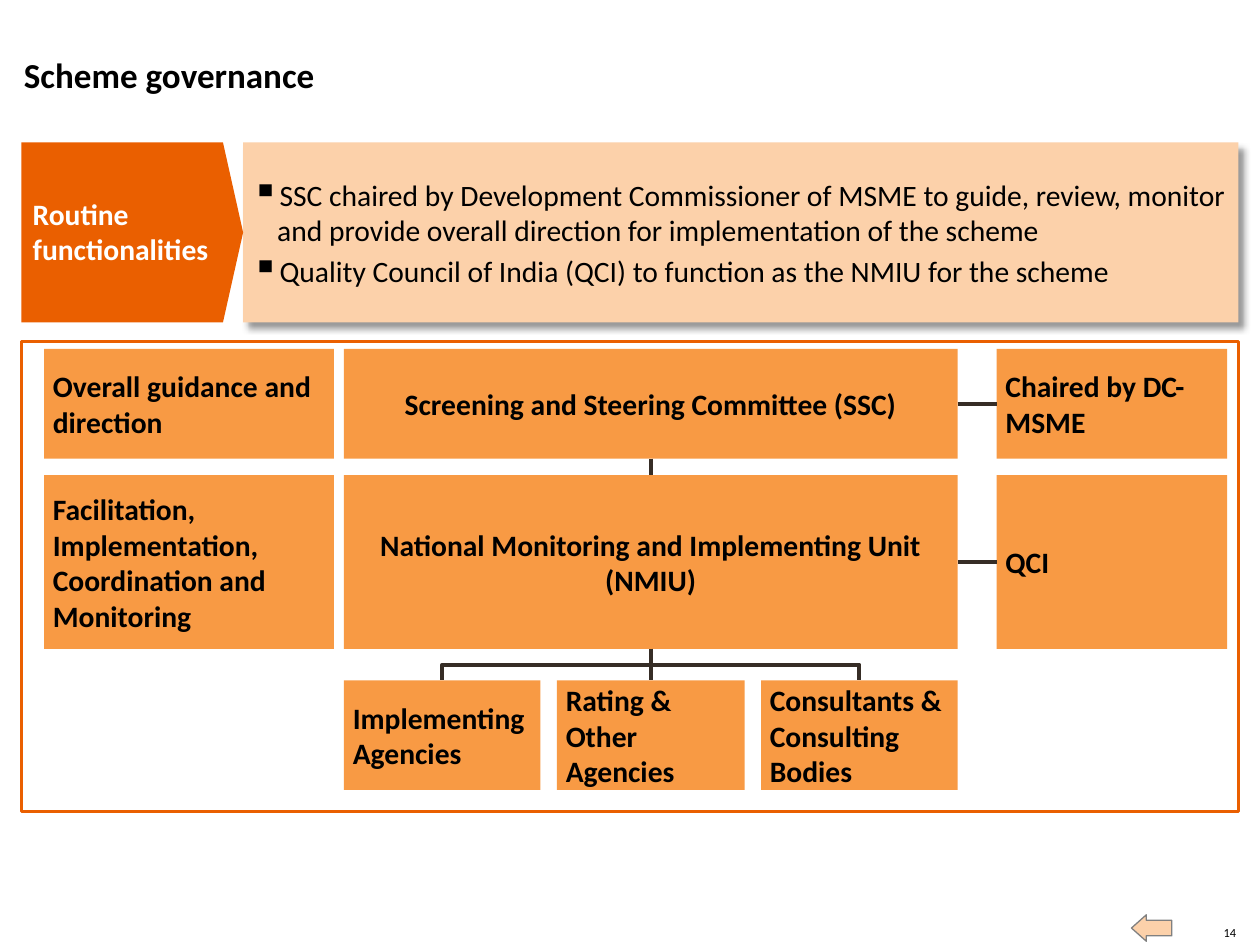
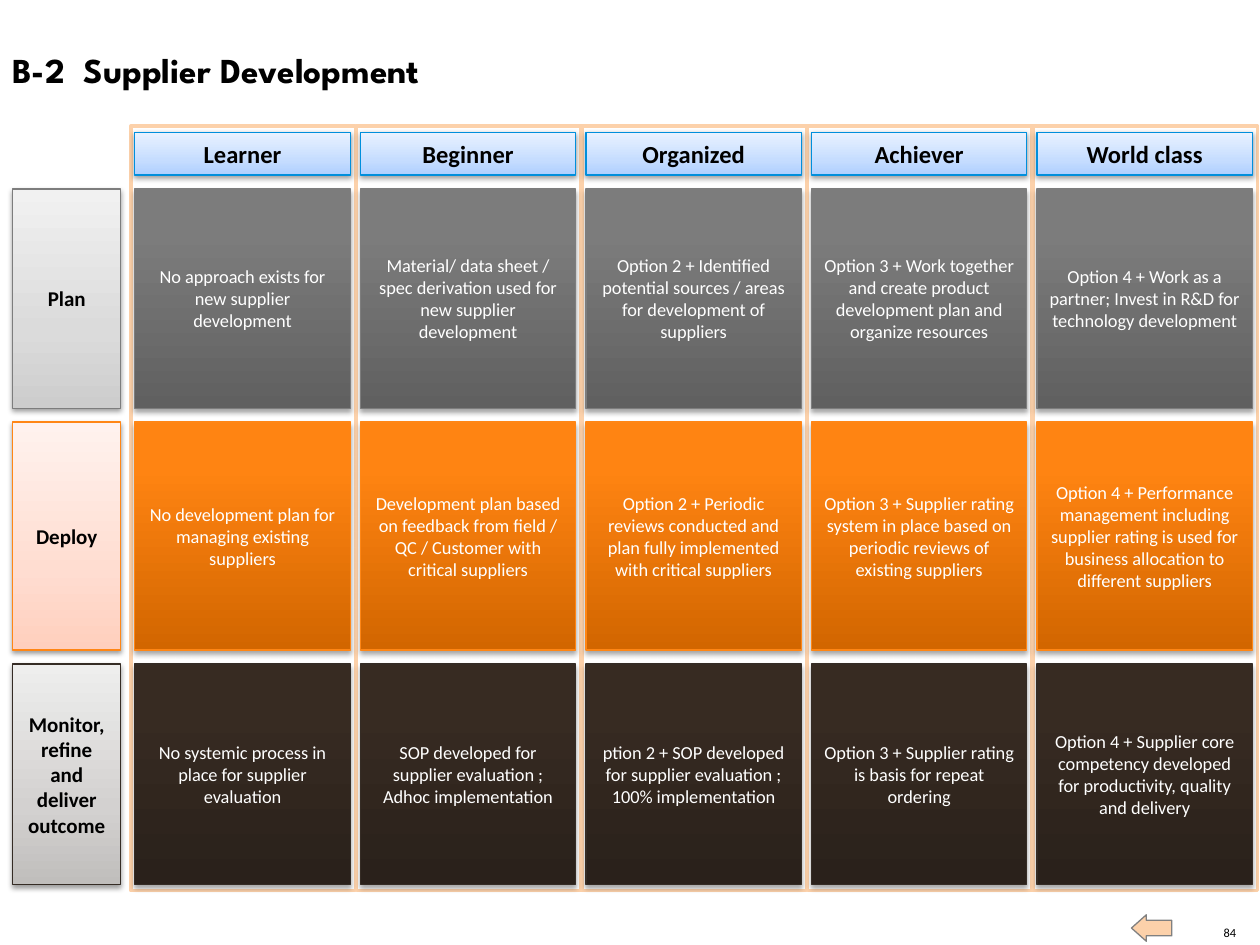
from dataclasses import dataclass
from itertools import product
from typing import Optional

from lxml.etree import SubElement
from pptx import Presentation
from pptx.dml.color import RGBColor
from pptx.enum.shapes import MSO_CONNECTOR, MSO_SHAPE
from pptx.enum.text import MSO_ANCHOR, PP_ALIGN
from pptx.oxml.ns import qn
from pptx.util import Inches, Pt

# Slide grid: 100 columns by 75 rows
WIDE, HIGH = Inches(10), Inches(7.5)
COLS, ROWS = 100, 75
FONT = "Calibri"
LEFT, MID, RIGHT = PP_ALIGN.LEFT, PP_ALIGN.CENTER, PP_ALIGN.RIGHT

HUES = {
    "white": "FFFFFF", "black": "000000", "peach": "FCD1AA",
    "flame": "EA5F00", "orange": "F89A44", "dark": "362D26",
    "grey": "808080", "blue": "008FDC",
    "plan": "7D7D7D", "deploy": "FF8615", "refine": "352C25",
}

# Gradient stops, bottom to top
FADES = {
    "head": ((0, "AECFFF"), (35, "C6DDFF"), (100, "E9F2FF")),
    "plan pale": ((0, "CDCDCD"), (35, "DBDBDB"), (100, "F1F1F1")),
    "deploy pale": ((0, "FFCFBD"), (35, "FFDDD1"), (100, "FFF2EE")),
    "refine pale": ((0, "C0BEBC"), (35, "D3D1D0"), (100, "EEEEED")),
    "plan": ((0, "606060"), (80, "7C7C7C"), (100, "7D7D7D")),
    "deploy": ((0, "D26600"), (80, "FF8412"), (100, "FF8514")),
    "refine": ((0, "2A211B"), (80, "372B22"), (100, "372B22")),
}


@dataclass(frozen=True)
class Area:
    x: float
    y: float
    w: float
    h: float

    def emu(self) -> tuple:
        return col(self.x), row(self.y), col(self.w), row(self.h)


@dataclass(frozen=True)
class Type:
    size: float
    hue: str = "black"
    bold: bool = False
    align: PP_ALIGN = LEFT
    face: str = FONT
    inset: tuple = (1, 0.5)
    anchor: MSO_ANCHOR = MSO_ANCHOR.MIDDLE
    bullet: bool = False
    wrap: bool = True


@dataclass(frozen=True)
class Shade:
    alpha: int
    blur: float
    gap: float
    angle: int


@dataclass(frozen=True)
class Look:
    fill: str
    line: Optional[str] = None
    width: float = 0.75
    shade: Optional[Shade] = None
    fade: bool = False


@dataclass(frozen=True)
class Band:
    key: str
    label: str
    y: float
    h: float
    cells: tuple


SOFT, DEEP = Shade(38, 3.1, 1.6, 90), Shade(35, 3.1, 1.8, 90)
BASE = MSO_ANCHOR.BOTTOM
NODE = Type(16.9, bold=True, inset=(0.7, 0.7))
HUB = Type(16.9, bold=True, inset=(0.7, 0.7), align=MID)
NOTE = Type(16.9, inset=(0.7, 0.7), bullet=True)
TAG = Type(16.9, "white", True, inset=(0, 0))
PAGE = Type(7.1, align=RIGHT, inset=(0, 0), anchor=BASE, wrap=False)


def col(n: float) -> int:
    return round(WIDE * n / COLS)


def row(n: float) -> int:
    return round(HIGH * n / ROWS)


def tint(key: str) -> RGBColor:
    return RGBColor.from_string(HUES[key])


def write(shape, lines: tuple, kind: Type) -> None:
    frame = shape.text_frame
    frame.word_wrap = kind.wrap
    frame.vertical_anchor = kind.anchor
    frame.margin_left = frame.margin_right = col(kind.inset[0])
    frame.margin_top = frame.margin_bottom = row(kind.inset[1])
    for i, line in enumerate(lines):
        para = frame.add_paragraph() if i else frame.paragraphs[0]
        para.alignment = kind.align
        if i:
            para.space_before = Pt(3)
        if kind.bullet:
            mark(para)
        run = para.add_run()
        run.text = line
        run.font.name, run.font.size = kind.face, Pt(kind.size)
        run.font.bold = kind.bold
        run.font.color.rgb = tint(kind.hue)


def mark(para) -> None:
    """Give a paragraph a square bullet with a hanging indent."""
    props = para._p.get_or_add_pPr()
    props.set("marL", str(col(2)))
    props.set("indent", str(-col(2)))
    hue = SubElement(props, qn("a:buClr"))
    SubElement(hue, qn("a:srgbClr"), val=HUES["black"])
    SubElement(props, qn("a:buSzPct"), val="125000")
    SubElement(props, qn("a:buChar"), char="▪")


def blend(shape, stops: tuple) -> None:
    """Swap the plain fill for an upward gradient."""
    solid = shape._element.spPr.find(qn("a:solidFill"))
    grad = solid.makeelement(qn("a:gradFill"), {"rotWithShape": "1"})
    list_ = SubElement(grad, qn("a:gsLst"))
    for pos, hue in stops:
        stop = SubElement(list_, qn("a:gs"), pos=str(pos * 1000))
        SubElement(stop, qn("a:srgbClr"), val=hue)
    SubElement(grad, qn("a:lin"), ang=str(270 * 60000), scaled="0")
    solid.getparent().replace(solid, grad)


def cast(shape, shade: Shade) -> None:
    """Add an outer shadow."""
    glow = SubElement(
        shape._element.spPr.find(qn("a:effectLst")), qn("a:outerShdw"),
        blurRad=str(Pt(shade.blur)), dist=str(Pt(shade.gap)),
        dir=str(shade.angle * 60000), algn="ctr", rotWithShape="0")
    hue = SubElement(glow, qn("a:srgbClr"), val=HUES["black"])
    SubElement(hue, qn("a:alpha"), val=str(shade.alpha * 1000))


def paint(shape, look: Look) -> None:
    shape.fill.solid()
    if look.fade:
        blend(shape, FADES[look.fill])
    else:
        shape.fill.fore_color.rgb = tint(look.fill)
    if look.line:
        shape.line.color.rgb = tint(look.line)
        shape.line.width = Pt(look.width)
    else:
        shape.line.fill.background()
    shape.shadow.inherit = False
    if look.shade:
        cast(shape, look.shade)


def block(slide, area: Area, look: Look, lines: tuple = (),
          kind: Type = NODE, form: MSO_SHAPE = MSO_SHAPE.RECTANGLE):
    shape = slide.shapes.add_shape(form, *area.emu())
    paint(shape, look)
    if lines:
        write(shape, lines, kind)
    return shape


def label(slide, area: Area, text: str, kind: Type) -> None:
    write(slide.shapes.add_textbox(*area.emu()), (text,), kind)


def link(slide, start, end, sides: tuple, bent: bool = False) -> None:
    form = MSO_CONNECTOR.ELBOW if bent else MSO_CONNECTOR.STRAIGHT
    line = slide.shapes.add_connector(form, 0, 0, 0, 0)
    line.begin_connect(start, sides[0])
    line.end_connect(end, sides[1])
    line.line.color.rgb = tint("dark")
    line.line.width = Pt(2.25)
    SubElement(line._element.spPr, qn("a:effectLst"))
    if bent:
        turn(line)


def turn(line) -> None:
    """Make an elbow leave downwards: swap its sides and rotate it."""
    right = line.end_x > line.begin_x
    x, y, w, h = line.left, line.top, line.width, line.height
    line.left, line.top = x + (w - h) // 2, y + (h - w) // 2
    line.width, line.height = h, w
    frame = line._element.spPr.find(qn("a:xfrm"))
    frame.set("rot", str((270 if right else 90) * 60000))
    frame.set("flipH", "1" if right else "0")
    frame.set("flipV", "0")


def start(deck, title: str, area: Area, kind: Type, page: str):
    """Add a slide with its title, page number and back arrow."""
    slide = deck.slides.add_slide(deck.slide_layouts[6])
    label(slide, Area(96.9, 73.4, 1.2, 1.2), page, PAGE)
    arrow = block(slide, Area(89.8, 72.6, 3.2, 2.1), Look("peach", "grey"),
                  form=MSO_SHAPE.RIGHT_ARROW)
    arrow.rotation = 180
    arrow.adjustments[0], arrow.adjustments[1] = 0.59, 0.56
    label(slide, area, title, kind)
    return slide


def scheme(deck) -> None:
    slide = start(deck, "Scheme governance", Area(1.9, 4.2, 76.5, 3.4),
                  Type(20, bold=True, inset=(0, 0), anchor=BASE), "14")

    # Routine functions band
    block(slide, Area(19.3, 11.3, 79, 14.3),
          Look("peach", shade=Shade(40, 4, 4, 45)), (
        "SSC chaired by Development Commissioner of MSME to guide, review, "
        "monitor and provide overall direction for implementation of the scheme",
        "Quality Council of India (QCI) to function as the NMIU for the scheme",
    ), NOTE)
    pen = slide.shapes.build_freeform(col(1.7), row(11.3))
    pen.add_line_segments([(col(x), row(y)) for x, y in (
        (17.7, 11.3), (19.3, 18.45), (17.7, 25.6), (1.7, 25.6))])
    paint(pen.convert_to_shape(), Look("flame"))
    label(slide, Area(2.6, 12.2, 15.3, 12.3), "Routine functionalities", TAG)

    # Chart of bodies: role, body, lead
    block(slide, Area(1.7, 27.1, 96.6, 37.3), Look("white", "flame", 1.5))
    spans = ((3.5, 23, NODE), (27.3, 48.7, HUB), (79.1, 18.3, NODE))
    tiers = (
        (27.7, 8.7, ("Overall guidance and direction",
                     "Screening and Steering Committee (SSC)",
                     "Chaired by DC-MSME")),
        (37.7, 13.8, ("Facilitation, Implementation, Coordination and Monitoring",
                      "National Monitoring and Implementing Unit (NMIU)",
                      "QCI")),
    )
    hubs = []
    for y, h, names in tiers:
        _, hub, lead = [
            block(slide, Area(x, y, w, h), Look("orange"), (name,), kind)
            for (x, w, kind), name in zip(spans, names)]
        link(slide, hub, lead, (3, 1))
        hubs.append(hub)
    link(slide, *hubs, (2, 0))

    # Agencies under the unit
    for x, w, name, bent in (
            (27.3, 15.6, "Implementing Agencies", True),
            (44.2, 14.9, "Rating & Other Agencies", False),
            (60.4, 15.6, "Consultants & Consulting Bodies", True)):
        body = block(slide, Area(x, 54, w, 8.7), Look("orange"), (name,))
        link(slide, hubs[1], body, (2, 0), bent)


LEVELS = ("Learner", "Beginner", "Organized", "Achiever", "World class")
BANDS = (
    Band("plan", "Plan", 15, 17.4, (
        "No approach exists for new supplier development",
        "Material/ data sheet / spec derivation used for new supplier development",
        "Option 2 + Identified potential sources / areas for development of suppliers",
        "Option 3 + Work together and create product development plan and organize resources",
        "Option 4 + Work as a partner; Invest in R&D for technology development")),
    Band("deploy", "Deploy", 33.5, 18.1, (
        "No development plan for managing existing suppliers",
        "Development plan based on feedback from field / QC / Customer with critical suppliers",
        "Option 2 + Periodic reviews conducted and plan fully implemented with critical suppliers",
        "Option 3 + Supplier rating system in place based on periodic reviews of existing suppliers",
        "Option 4 + Performance management including supplier rating is used for "
        "business allocation to different suppliers")),
    Band("refine", "Monitor, refine and deliver outcome", 52.7, 17.5, (
        "No systemic process in place for supplier evaluation",
        "SOP developed for supplier evaluation ; Adhoc implementation",
        "ption 2 + SOP developed for supplier evaluation ; 100% implementation",
        "Option 3 + Supplier rating is basis for repeat ordering",
        "Option 4 + Supplier core competency developed for productivity, quality and delivery")),
)


def growth(deck) -> None:
    slide = start(deck, "B-2  Supplier Development", Area(0, 3.3, 86, 4.4),
                  Type(20, bold=True, face="League Spartan"), "84")
    step, wide = 17.9, 17.1

    # Row labels and column panels
    for band in BANDS:
        block(slide, Area(1, band.y, 8.6, band.h),
              Look(band.key + " pale", band.key, shade=SOFT, fade=True),
              (band.label,), Type(12, bold=True, align=MID))
    for i in range(len(LEVELS)):
        block(slide, Area(10.4 + i * step, 10, 17.8, 60.7),
              Look("white", "peach", 2))

    # Cells, then column heads
    for band, i in product(BANDS, range(len(LEVELS))):
        block(slide, Area(10.7 + i * step, band.y, wide, band.h),
              Look(band.key, band.key, shade=DEEP, fade=True),
              (band.cells[i],), Type(10.5, "white", align=MID))
    for i, name in enumerate(LEVELS):
        block(slide, Area(10.7 + i * step, 10.5, wide, 3.4),
              Look("head", "blue", shade=SOFT, fade=True),
              (name,), Type(14, bold=True, align=MID))


def main() -> None:
    deck = Presentation()
    deck.slide_width, deck.slide_height = WIDE, HIGH
    scheme(deck)
    growth(deck)
    deck.save("out.pptx")


if __name__ == "__main__":
    main()
